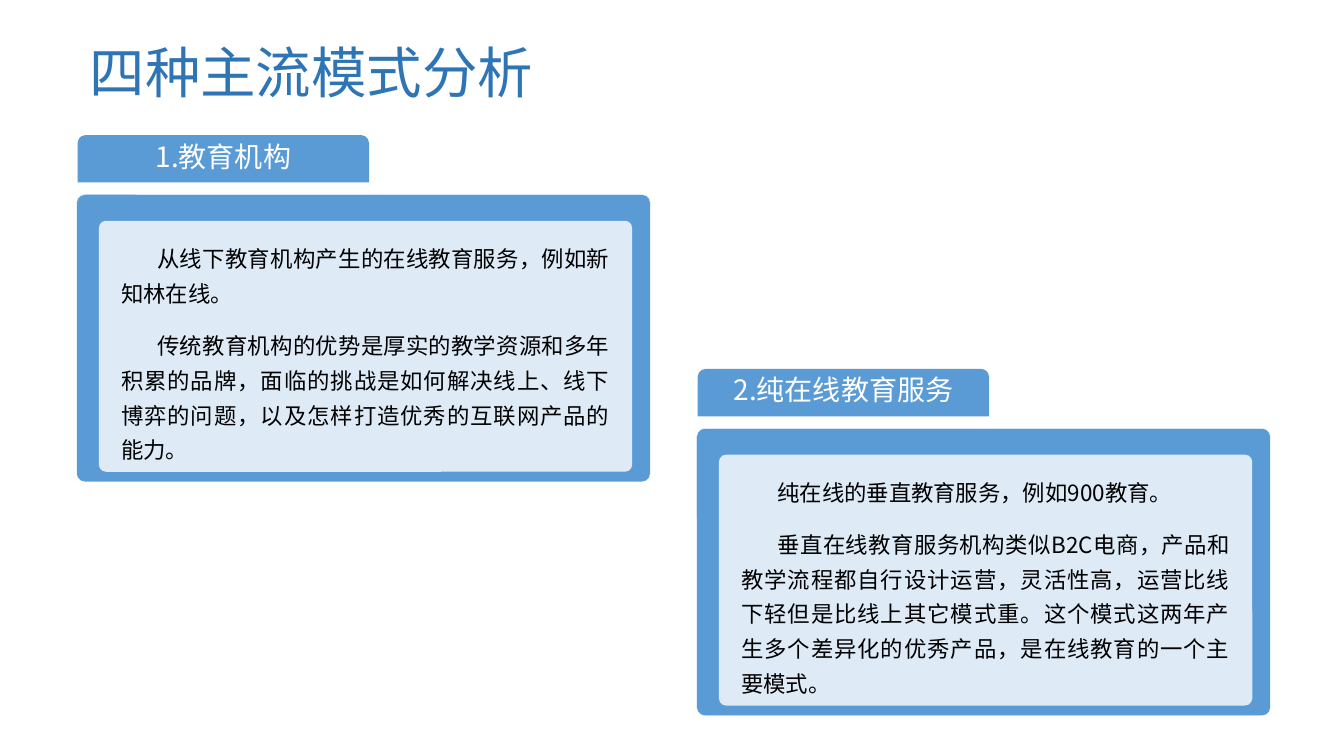
import pptx
import pptx.dml.color
import pptx.enum.shapes
import pptx.enum.text
import pptx.util
from pptx.util import Inches

FONT = "Noto Sans CJK SC"
BLUE = "5B9BD5"
PALE_BLUE = "DEEBF7"
TITLE_BLUE = "2E75B6"
WHITE = "FFFFFF"
BLACK = "000000"

ALIGN = pptx.enum.text.PP_ALIGN
SHAPE = pptx.enum.shapes.MSO_SHAPE

# Left edge, top edge, heading and paragraphs of each panel
PANELS = [
    (0.76, 1.34, "1.教育机构", [
        "从线下教育机构产生的在线教育服务，例如新知林在线。",
        "传统教育机构的优势是厚实的教学资源和多年积累的品牌，面临的挑战是如何解决线上、"
        "线下博弈的问题，以及怎样打造优秀的互联网产品的能力。",
    ]),
    (6.91, 3.66, "2.纯在线教育服务", [
        "纯在线的垂直教育服务，例如900教育。",
        "垂直在线教育服务机构类似B2C电商，产品和教学流程都自行设计运营，灵活性高，"
        "运营比线下轻但是比线上其它模式重。这个模式这两年产生多个差异化的优秀产品，"
        "是在线教育的一个主要模式。",
    ]),
]


def color(hex_string):
    return pptx.dml.color.RGBColor.from_string(hex_string)


def add_box(slide, kind, left, top, width, height, fill):
    shape = slide.shapes.add_shape(
        kind, Inches(left), Inches(top), Inches(width), Inches(height))
    shape.shadow.inherit = False
    shape.fill.solid()
    shape.fill.fore_color.rgb = color(fill)
    shape.line.fill.background()
    if kind == SHAPE.ROUNDED_RECTANGLE:
        shape.adjustments[0] = 0.029
    return shape


def set_text(shape, texts, size, text_color, alignment, insets):
    frame = shape.text_frame
    frame.word_wrap = True
    frame.vertical_anchor = pptx.enum.text.MSO_ANCHOR.MIDDLE
    (frame.margin_left, frame.margin_top,
     frame.margin_right, frame.margin_bottom) = map(Inches, insets)
    frame.text = "\n".join(texts)
    for paragraph in frame.paragraphs:
        paragraph.alignment = alignment
        paragraph.font.size = pptx.util.Pt(size)
        paragraph.font.name = FONT
        paragraph.font.color.rgb = color(text_color)
    return frame.paragraphs


def add_title(slide, text):
    box = slide.shapes.add_textbox(
        Inches(0.79), Inches(0.32), Inches(4.7), Inches(0.85))
    paragraphs = set_text(box, [text], 39.6, TITLE_BLUE, ALIGN.LEFT,
                          (0.1, 0.05, 0.1, 0.05))
    paragraphs[0].line_spacing = 0.9


def add_panel(slide, left, top, heading, texts):
    # Frame
    frame = add_box(slide, SHAPE.ROUNDED_RECTANGLE,
                    left, top + 0.59, 5.69, 2.85, BLUE)
    frame.line.color.rgb = color(WHITE)
    frame.line.width = pptx.util.Pt(0.25)

    # Heading tab
    tab = add_box(slide, SHAPE.ROUND_2_SAME_RECTANGLE,
                  left + 0.01, top, 2.89, 0.47, BLUE)
    set_text(tab, [heading], 20, WHITE, ALIGN.CENTER, (0, 0, 0, 0.08))

    # Body text with first-line indents
    body = add_box(slide, SHAPE.ROUNDED_RECTANGLE,
                   left + 0.22, top + 0.85, 5.29, 2.49, PALE_BLUE)
    paragraphs = set_text(body, texts, 16, BLACK, ALIGN.JUSTIFY,
                          (0.2, 0.28, 0.2, 0.2))
    for index, paragraph in enumerate(paragraphs):
        paragraph.line_spacing = 1.3
        paragraph.space_before = pptx.util.Pt(6 if index else 0)
        paragraph.space_after = pptx.util.Pt(6)
        properties = paragraph._p.get_or_add_pPr()
        properties.set("marL", "0")
        properties.set("indent", str(Inches(0.36)))


def main():
    presentation = pptx.Presentation()
    presentation.slide_width = Inches(13.33)
    presentation.slide_height = Inches(7.5)
    slide = presentation.slides.add_slide(presentation.slide_layouts[6])

    add_title(slide, "四种主流模式分析")
    for panel in PANELS:
        add_panel(slide, *panel)

    presentation.save("out.pptx")


if __name__ == "__main__":
    main()
